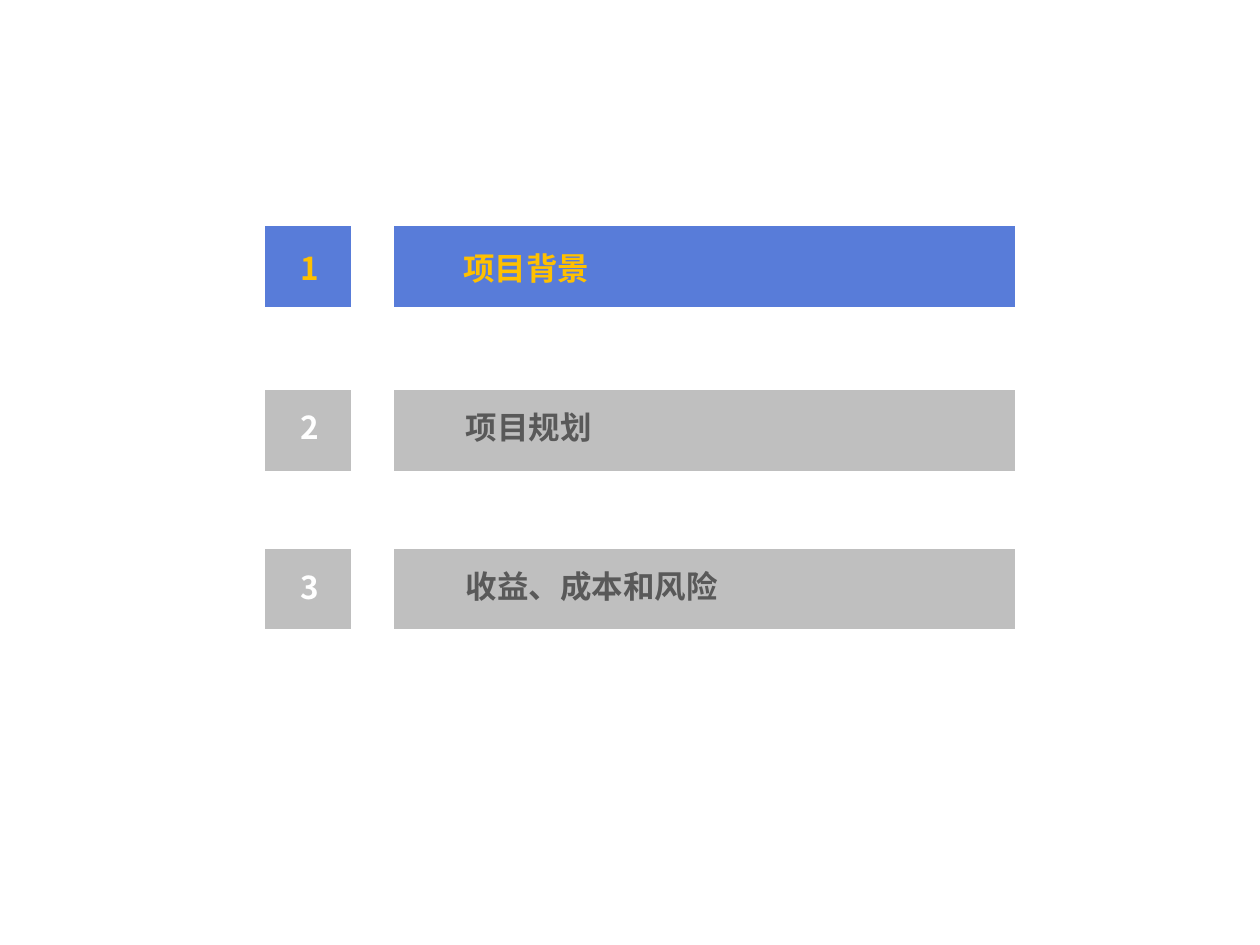
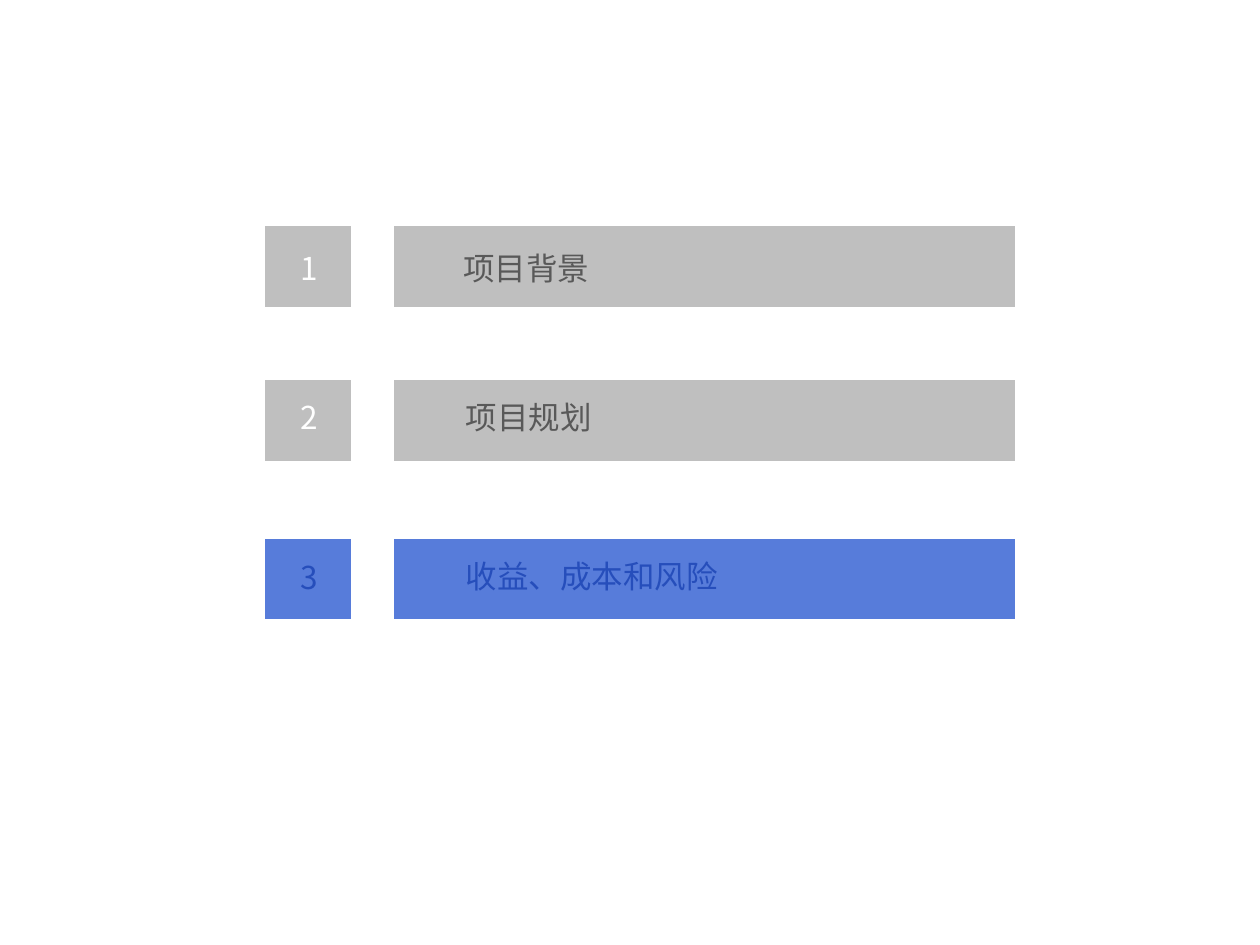
from dataclasses import dataclass

from lxml import etree
from pptx import Presentation, util as u
from pptx.dml.color import RGBColor
from pptx.enum import shapes, text
from pptx.oxml import ns


@dataclass(frozen=True)
class Theme:
    font: str = "Noto Sans CJK SC"
    text_size: int = 18
    outline_width: int = 2
    outline: str = "FFFFFF"
    idle_fill: str = "BFBFBF"
    idle_title: str = "595959"
    idle_number: str = "FFFFFF"
    background_fill: str = "587CD9"
    background_text: str = "FFC000"
    risk_fill: str = "577CDA"
    risk_text: str = "264EBB"


theme = Theme()
presentation = Presentation()
presentation.slide_width = u.Inches(10)
presentation.slide_height = u.Inches(7.5)
column = presentation.slide_width / 100
row = presentation.slide_height / 100


def add_block(slide, left, top, width, height, fill):
    shape = slide.shapes.add_shape(
        shapes.MSO_SHAPE.RECTANGLE,
        int(left * column), int(top * row), int(width * column), int(height * row))
    shape.shadow.inherit = False
    shape.fill.solid()
    shape.fill.fore_color.rgb = RGBColor.from_string(fill)
    shape.line.color.rgb = RGBColor.from_string(theme.outline)
    shape.line.width = u.Pt(theme.outline_width)


def add_label(slide, left, top, width, height, wording, color, bold):
    shape = slide.shapes.add_textbox(
        int(left * column), int(top * row), int(width * column), int(height * row))
    shape.text_frame.word_wrap = False
    shape.text_frame.auto_size = text.MSO_AUTO_SIZE.SHAPE_TO_FIT_TEXT
    run = shape.text_frame.paragraphs[0].add_run()
    run.text = wording
    run.font.size = u.Pt(theme.text_size)
    run.font.bold = bold
    run.font.color.rgb = RGBColor.from_string(color)
    run.font.name = theme.font
    east_asian = etree.SubElement(run.font._element, ns.qn("a:ea"))
    east_asian.set("typeface", theme.font)


number_left, number_width = 20.9, 7.1
bar_left, bar_width = 31.1, 49.6
block_height, label_height = 8.93, 5.4
first_top, last_step = 23.73, 16.8

chapters = [
    ("项目背景", 35.8, 12, 2, 2),
    ("项目规划", 36, 12, 1.47, 1.47),
    ("收益、成本和风险", 36, 22, 1.47, 1.6),
]
agendas = [
    (0, 41.07, True, theme.background_fill, theme.background_text),
    (2, 40, False, theme.risk_fill, theme.risk_text),
]

for active, second_top, bold, active_fill, active_text in agendas:
    slide = presentation.slides.add_slide(presentation.slide_layouts[6])
    tops = [first_top, second_top, second_top + last_step]
    for index, (chapter, top) in enumerate(zip(chapters, tops)):
        title, title_left, title_width, title_drop, number_drop = chapter
        fill, title_color, number_color = theme.idle_fill, theme.idle_title, theme.idle_number
        if index == active:
            fill, title_color, number_color = active_fill, active_text, active_text
        add_block(slide, bar_left, top, bar_width, block_height, fill)
        add_label(slide, title_left, top + title_drop, title_width, label_height,
                  title, title_color, bold)
        add_block(slide, number_left, top, number_width, block_height, fill)
        add_label(slide, number_left + 2, top + number_drop, 3.5, label_height,
                  str(index + 1), number_color, bold)

presentation.save("out.pptx")
